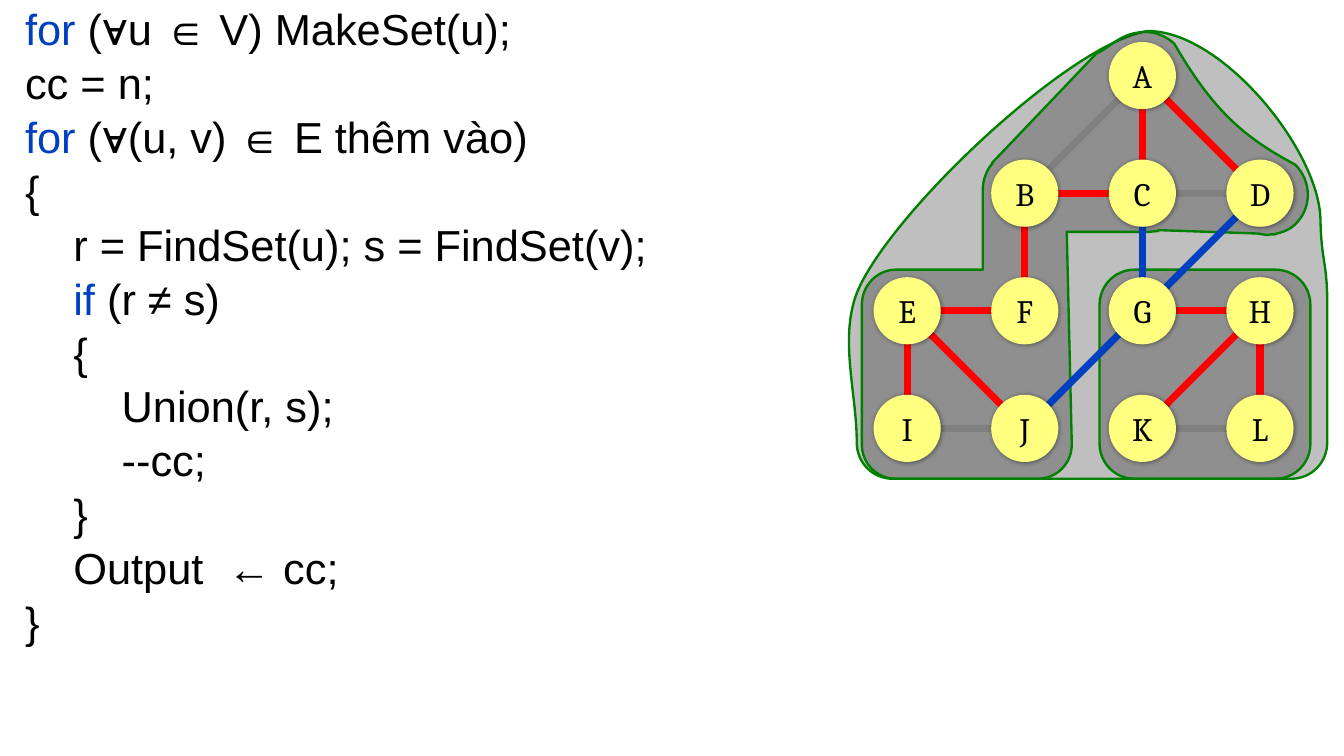
"""Build a slide on counting connected components with disjoint sets."""
from lxml import etree
from pptx import Presentation
from pptx.dml.color import RGBColor
from pptx.enum import shapes, text
from pptx.oxml import ns
from pptx.util import Pt

COLORS = {"ink": "000000", "keyword": "0040C0", "tree": "FF0000", "spare": "808080",
          "bridge": "0040C0", "node": "FFFF80", "region": "000000", "outline": "008000"}

CODE = [
    (0, [("for", "keyword"), (" (∀u ∈ V) MakeSet(u);", "ink")]),
    (0, [("cc = n;", "ink")]),
    (0, [("for", "keyword"), (" (∀(u, v) ∈ E thêm vào)", "ink")]),
    (0, [("{", "ink")]),
    (1, [("r = FindSet(u); s = FindSet(v);", "ink")]),
    (1, [("if", "keyword"), (" (r ≠ s)", "ink")]),
    (1, [("{", "ink")]),
    (2, [("Union(r, s);", "ink")]),
    (2, [("--cc;", "ink")]),
    (1, [("}", "ink")]),
    (1, [("Output", "ink"), (" ", "gap"), ("← cc;", "ink")]),
    (0, [("}", "ink")]),
]
NODE_ROWS = [(2, "A"), (1, "BCD"), (0, "EFGH"), (0, "IJKL")]
EDGES = {"tree": "EI EJ HK CB AD LH FB AC GH EF", "spare": "JI LK BA CD", "bridge": "CG JG GD"}

WHOLE_FRAME = (10.11, 0.37, 5.69, 5.33)
WHOLE_GRAPH = [
    (13.66, 0.37), (14.54, 0.36, 15.7, 1.78, 15.72, 2.61), (15.73, 3.1, 15.79, 3.09, 15.8, 3.53),
    (15.8, 5.27), (15.8, 5.51, 15.61, 5.7, 15.37, 5.7), (10.63, 5.7),
    (10.39, 5.7, 10.2, 5.51, 10.2, 5.27), (10.2, 4.68, 9.99, 4.04, 10.2, 3.49),
    (10.58, 2.55, 12.74, 0.51, 13.66, 0.37),
]
LEFT_FRAME = (10.26, 0.38, 5.31, 5.32)
LEFT_COMPONENT = [
    (13.63, 0.38), (13.76, 0.38, 13.88, 0.43, 13.98, 0.52), (14.46, 1.35, 14.84, 1.65, 15.42, 1.96),
    (15.62, 2.16, 15.62, 2.48, 15.42, 2.67), (15.37, 2.72, 15.31, 2.75, 15.24, 2.77),
    (15.17, 2.79), (15.18, 2.79), (15.17, 2.79, 15.16, 2.79, 15.16, 2.79), (15.14, 2.79),
    (15.1, 2.8, 15.07, 2.8, 15.03, 2.79), (14.97, 2.78), (13.79, 2.74), (13.79, 2.75),
    (13.75, 2.75, 13.72, 2.76, 13.68, 2.76), (12.7, 2.76), (12.76, 5.29),
    (12.76, 5.52, 12.58, 5.7, 12.35, 5.7), (10.67, 5.7), (10.44, 5.7, 10.26, 5.52, 10.26, 5.29),
    (10.26, 3.63), (10.26, 3.4, 10.44, 3.21, 10.67, 3.21), (11.7, 3.21), (11.7, 2.26),
    (11.7, 2.16, 11.73, 2.07, 11.78, 1.99), (11.82, 1.94), (11.81, 1.94), (13.05, 0.64),
    (13.24, 0.55, 13.34, 0.39, 13.63, 0.38),
]
OUTLINE_UNIT = 72
RIGHT_COMPONENT = (942.5, 231.1, 180.7, 179.3)
FIRST_X, FIRST_Y, PITCH, DIAMETER = 777.6, 64.8, 100.8, 57.6
CODE_BOX = (14.4, 0, 604.8, 576)
CODE_SIZE, CODE_INDENT = 37.2, 41.4
CODE_FRAME = {"word_wrap": True, "margin_left": Pt(7.2), "margin_right": Pt(7.2),
              "margin_top": Pt(7.2), "margin_bottom": Pt(7.2)}
NODE_FRAME = {"word_wrap": False, "vertical_anchor": text.MSO_ANCHOR.MIDDLE, "margin_left": 0,
              "margin_right": 0, "margin_top": 0, "margin_bottom": 0}


def set_all(target, values):
    for name, value in values.items():
        setattr(target, name, value)


def rgb(name):
    return RGBColor.from_string(COLORS[name])


def add_span(para, words, color, size, font):
    span = para.add_run()
    span.text = words
    set_all(span.font, {"size": Pt(size), "name": font})
    span.font.color.rgb = rgb(color)
    return span


def add_outline(page, frame, outline):
    left, top, width, height = (Pt(value * OUTLINE_UNIT) for value in frame)
    corners = [tuple(Pt(value * OUTLINE_UNIT) for value in step[-2:]) for step in outline]
    builder = page.shapes.build_freeform(*corners[0])
    builder.add_line_segments(corners[1:], close=True)
    region = builder.convert_to_shape()
    set_all(region, {"left": left, "top": top, "width": width, "height": height})
    track = region._element.spPr.find(".//" + ns.qn("a:path"))
    for child in list(track):
        track.remove(child)
    track.set("w", str(width))
    track.set("h", str(height))
    for i, step in enumerate(outline):
        tag = "a:moveTo" if i == 0 else "a:lnTo" if len(step) == 2 else "a:cubicBezTo"
        segment = etree.SubElement(track, ns.qn(tag))
        for x, y in zip(step[::2], step[1::2]):
            etree.SubElement(segment, ns.qn("a:pt"), x=str(Pt(x * OUTLINE_UNIT) - left),
                             y=str(Pt(y * OUTLINE_UNIT) - top))
    etree.SubElement(track, ns.qn("a:close"))
    return region


def style_region(region):
    region.shadow.inherit = False
    region.fill.solid()
    region.fill.fore_color.rgb = rgb("region")
    color = region._element.spPr.find(ns.qn("a:solidFill"))[0]
    etree.SubElement(color, ns.qn("a:alpha"), val="25000")
    region.line.color.rgb = rgb("outline")
    region.line.width = Pt(2)


def add_edge(page, start, end, kind):
    ends = [Pt(value) for value in (*start, *end)]
    edge = page.shapes.add_connector(shapes.MSO_CONNECTOR.STRAIGHT, *ends)
    edge.line.color.rgb = rgb(kind)
    edge.line.width = Pt(6)
    etree.SubElement(edge._element.spPr, ns.qn("a:effectLst"))


def add_node(page, name, center):
    left, top = (Pt(value - DIAMETER / 2) for value in center)
    node = page.shapes.add_shape(shapes.MSO_SHAPE.OVAL, left, top, Pt(DIAMETER), Pt(DIAMETER))
    node.shadow.inherit = False
    node.fill.solid()
    node.fill.fore_color.rgb = rgb("node")
    node.line.fill.background()
    effects = node._element.spPr.find(ns.qn("a:effectLst"))
    shadow = etree.SubElement(effects, ns.qn("a:outerShdw"), blurRad=str(Pt(4)),
                              dist=str(Pt(1)), dir="2700000", algn="ctr", rotWithShape="0")
    color = etree.SubElement(shadow, ns.qn("a:srgbClr"), val=COLORS["ink"])
    etree.SubElement(color, ns.qn("a:alpha"), val="40000")
    set_all(node.text_frame, NODE_FRAME)
    para = node.text_frame.paragraphs[0]
    para.alignment = text.PP_ALIGN.CENTER
    add_span(para, name, "ink", 28, "Cambria")


def add_code(page):
    box = page.shapes.add_textbox(*map(Pt, CODE_BOX))
    set_all(box.text_frame, CODE_FRAME)
    for row, (depth, spans) in enumerate(CODE):
        para = box.text_frame.add_paragraph() if row else box.text_frame.paragraphs[0]
        set_all(para, {"line_spacing": 0.9, "space_before": Pt(6 if row else 0)})
        para._p.get_or_add_pPr().set("marL", str(Pt(depth * CODE_INDENT)))
        for words, color in spans:
            span = add_span(para, words, "ink" if color == "gap" else color, CODE_SIZE, "Arial")
            if color == "gap":
                span.font._element.set("spc", "1030")


def main():
    deck = Presentation()
    set_all(deck, {"slide_width": Pt(1152), "slide_height": Pt(648)})
    page = deck.slides.add_slide(deck.slide_layouts[6])
    for frame, outline in ((WHOLE_FRAME, WHOLE_GRAPH), (LEFT_FRAME, LEFT_COMPONENT)):
        style_region(add_outline(page, frame, outline))
    right = page.shapes.add_shape(shapes.MSO_SHAPE.ROUNDED_RECTANGLE, *map(Pt, RIGHT_COMPONENT))
    right.adjustments[0] = 0.167
    style_region(right)
    add_code(page)
    centers = {name: (FIRST_X + (first + i) * PITCH, FIRST_Y + row * PITCH)
               for row, (first, names) in enumerate(NODE_ROWS) for i, name in enumerate(names)}
    for kind, pairs in EDGES.items():
        for start, end in pairs.split():
            add_edge(page, centers[start], centers[end], kind)
    for name, center in centers.items():
        add_node(page, name, center)
    deck.save("out.pptx")


if __name__ == "__main__":
    main()
